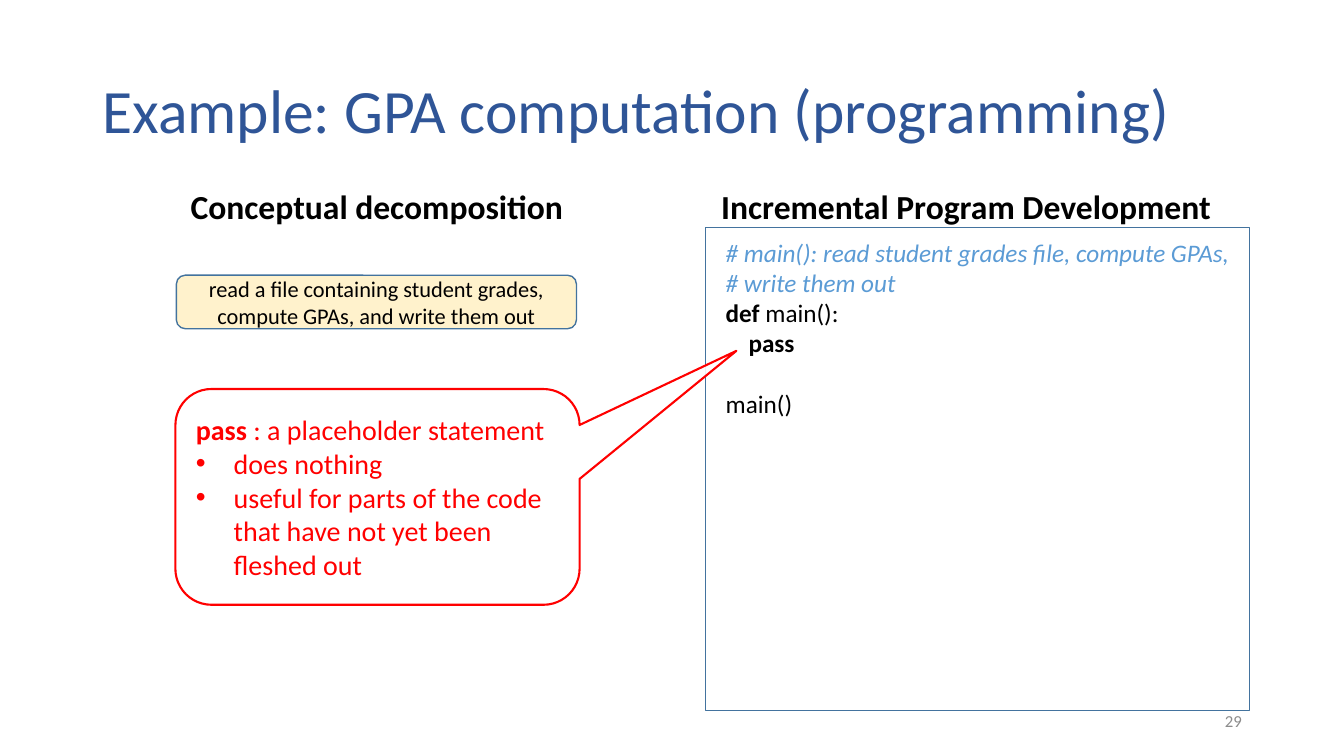
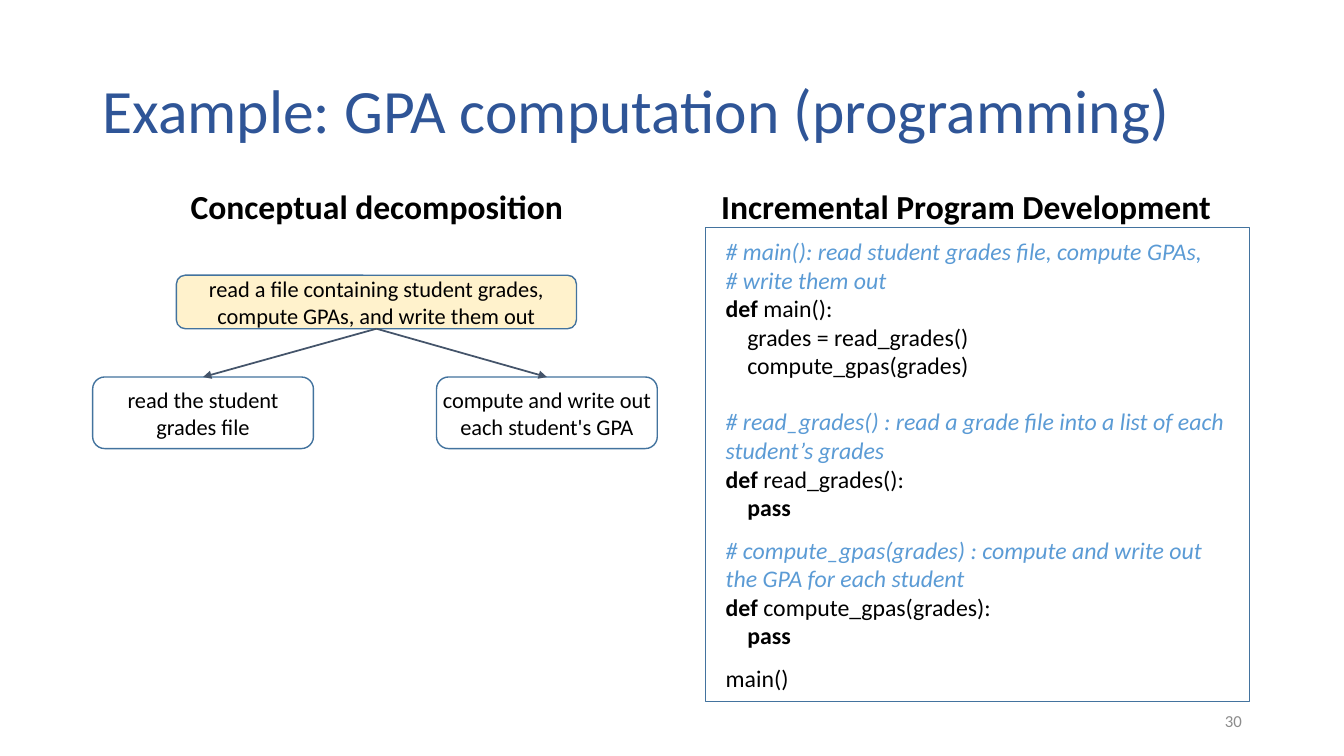
import pptx
import pptx.dml.color
import pptx.enum.shapes
import pptx.enum.text
import pptx.oxml
import pptx.oxml.ns
import pptx.util

Pt = pptx.util.Pt
SHAPE = pptx.enum.shapes.MSO_SHAPE
ALIGN = pptx.enum.text.PP_ALIGN
ANCHOR = pptx.enum.text.MSO_ANCHOR

FONT = "Calibri"
BLACK, BLUE, EDGE, NOTE = "000000", "2F5597", "43739E", "5B9BD5"
RED, GRAY, SLATE, CREAM, WHITE = "FF0000", "8C8C8C", "44546A", "FFF2CC", "FFFFFF"


def rgb(code):
    return pptx.dml.color.RGBColor.from_string(code)


def node(parent, tag, **attrs):
    """Append an empty DrawingML element to parent."""
    child = pptx.oxml.parse_xml(f"<a:{tag} {pptx.oxml.ns.nsdecls('a')}/>")
    for name, value in attrs.items():
        child.set(name, value)
    parent.append(child)
    return child


def write(frame, text, size=18, color=BLACK, bold=False, italic=False,
          align=ALIGN.LEFT, space=None, before=0, indent=0, bullet=None):
    """Add one paragraph; parts between asterisks are bold."""
    para = frame.paragraphs[0]
    if para.runs:
        para = frame.add_paragraph()
    para.alignment = align
    if space:
        para.line_spacing = space
    if before:
        para.space_before = Pt(before)
    props = para._p.get_or_add_pPr()
    if indent:
        props.set("marL", str(Pt(indent)))
    if bullet:
        props.set("indent", str(-Pt(indent)))
        node(props, "buFont", typeface="Arial")
        node(props, "buChar", char=bullet)
    for index, part in enumerate(text.split("*")):
        if part:
            run = para.add_run()
            run.text = part
            font = run.font
            font.name, font.size = FONT, Pt(size)
            font.bold = bold or index % 2 == 1
            font.italic = italic
            font.color.rgb = rgb(color)


class Deck:
    def __init__(self):
        self.file = pptx.Presentation()
        self.file.slide_width, self.file.slide_height = Pt(960), Pt(540)
        self.slide = None

    def start(self, number):
        """Begin a slide with the shared title, headings and number."""
        self.slide = self.file.slides.add_slide(self.file.slide_layouts[6])
        self.label("Example: GPA computation (programming)",
                   66.2, 28.8, 828, 104.4, ANCHOR.MIDDLE,
                   size=44, color=BLUE, space=0.9)
        head = dict(size=24, bold=True, align=ALIGN.CENTER, space=0.9)
        self.label("Conceptual decomposition", 66.2, 132.5, 406, 42, **head)
        self.label("Incremental Program Development",
                   486, 132.5, 408.2, 42, **head)
        self.label(str(number), 678.2, 500.4, 216, 28.8, ANCHOR.MIDDLE,
                   size=12, color=GRAY, align=ALIGN.RIGHT)

    def label(self, text, x, y, w, h, anchor=ANCHOR.TOP, **style):
        box = self.slide.shapes.add_textbox(Pt(x), Pt(y), Pt(w), Pt(h))
        frame = box.text_frame
        frame.word_wrap = True
        frame.vertical_anchor = anchor
        write(frame, text, **style)

    def shape(self, kind, x, y, w, h, fill=None, line=EDGE, weight=1):
        item = self.slide.shapes.add_shape(kind, Pt(x), Pt(y), Pt(w), Pt(h))
        item.shadow.inherit = False
        if fill:
            item.fill.solid()
            item.fill.fore_color.rgb = rgb(fill)
        else:
            item.fill.background()
        item.line.color.rgb = rgb(line)
        item.line.width = Pt(weight)
        item.text_frame.word_wrap = True
        item.text_frame.vertical_anchor = ANCHOR.MIDDLE
        return item

    def step(self, text, x, y, w, h, fill=None, inset=7.2):
        item = self.shape(SHAPE.ROUNDED_RECTANGLE, x, y, w, h, fill)
        frame = item.text_frame
        frame.margin_left = frame.margin_right = Pt(inset)
        write(frame, text, size=16, align=ALIGN.CENTER)
        return item

    def goal(self):
        return self.step("read a file containing student grades, "
                         "compute GPAs, and write them out",
                         126, 196.6, 285.8, 38.2, CREAM)

    def code(self, lines, height, size, indent):
        """Draw a listing of (text, gap before) lines, '>' marking an indent."""
        item = self.shape(SHAPE.RECTANGLE, 504, 162, 388, height, weight=0.25)
        frame = item.text_frame
        frame.vertical_anchor = ANCHOR.TOP
        frame.margin_left, frame.margin_top = Pt(14.4), Pt(7.2)
        for text, gap in lines:
            remark = text.startswith("#")
            write(frame, text.lstrip(">"), size=size, before=gap,
                  color=NOTE if remark else BLACK, italic=remark,
                  indent=indent if text.startswith(">") else 0)

    def callout(self, first, points):
        item = self.shape(SHAPE.ROUNDED_RECTANGULAR_CALLOUT,
                          125.3, 277.9, 288.7, 154.1, WHITE, RED, 1.5)
        for index, value in enumerate((0.888, -0.677, 0.167)):
            item.adjustments[index] = value
        tint = next(item._element.spPr.iter(pptx.oxml.ns.qn("a:srgbClr")))
        node(tint, "alpha", val="90000")
        style = dict(size=20, color=RED)
        write(item.text_frame, first, **style)
        for point in points:
            write(item.text_frame, point, indent=27, bullet="•", **style)

    def arrow(self, source, target):
        """Link the bottom of source to the top of target."""
        line = self.slide.shapes.add_connector(
            pptx.enum.shapes.MSO_CONNECTOR.STRAIGHT, 0, 0, 0, 0)
        line.begin_connect(source, 2)
        line.end_connect(target, 0)
        line.line.color.rgb = rgb(SLATE)
        line.line.width = Pt(1.25)
        node(line.line._get_or_add_ln(), "tailEnd", type="triangle")
        node(line._element.spPr, "effectLst")


INTRO = [("# main(): read student grades file, compute GPAs,", 0),
         ("# write them out", 0),
         ("*def* main():", 0)]


def stub(deck):
    deck.start(29)
    deck.code(INTRO + [(">*pass*", 0), ("main()", 22)], 345.6, 18, 16.3)
    deck.callout("*pass* : a placeholder statement",
                 ["does nothing",
                  "useful for parts of the code that have not yet "
                  "been fleshed out"])
    deck.goal()


def split(deck):
    deck.start(30)
    gap = 9.8
    deck.code(INTRO + [
        (">grades = read_grades()", 0),
        (">compute_gpas(grades)", 0),
        ("# read_grades() : read a grade file into a list of each "
         "student’s grades", 2 * gap),
        ("*def* read_grades():", 0),
        (">*pass*", 0),
        ("# compute_gpas(grades) : compute and write out the GPA "
         "for each student", gap),
        ("*def* compute_gpas(grades):", 0),
        (">*pass*", 0),
        ("main()", gap),
    ], 339.1, 17, 15.4)
    goal = deck.goal()
    for text, x, inset in (
            ("read the student grades file", 66.2, 7.2),
            ("compute and write out each student's GPA", 311.8, 0)):
        part = deck.step(text, x, 269.3, 157.7, 51.1, inset=inset)
        deck.arrow(goal, part)


def main():
    deck = Deck()
    stub(deck)
    split(deck)
    deck.file.save("out.pptx")


if __name__ == "__main__":
    main()
